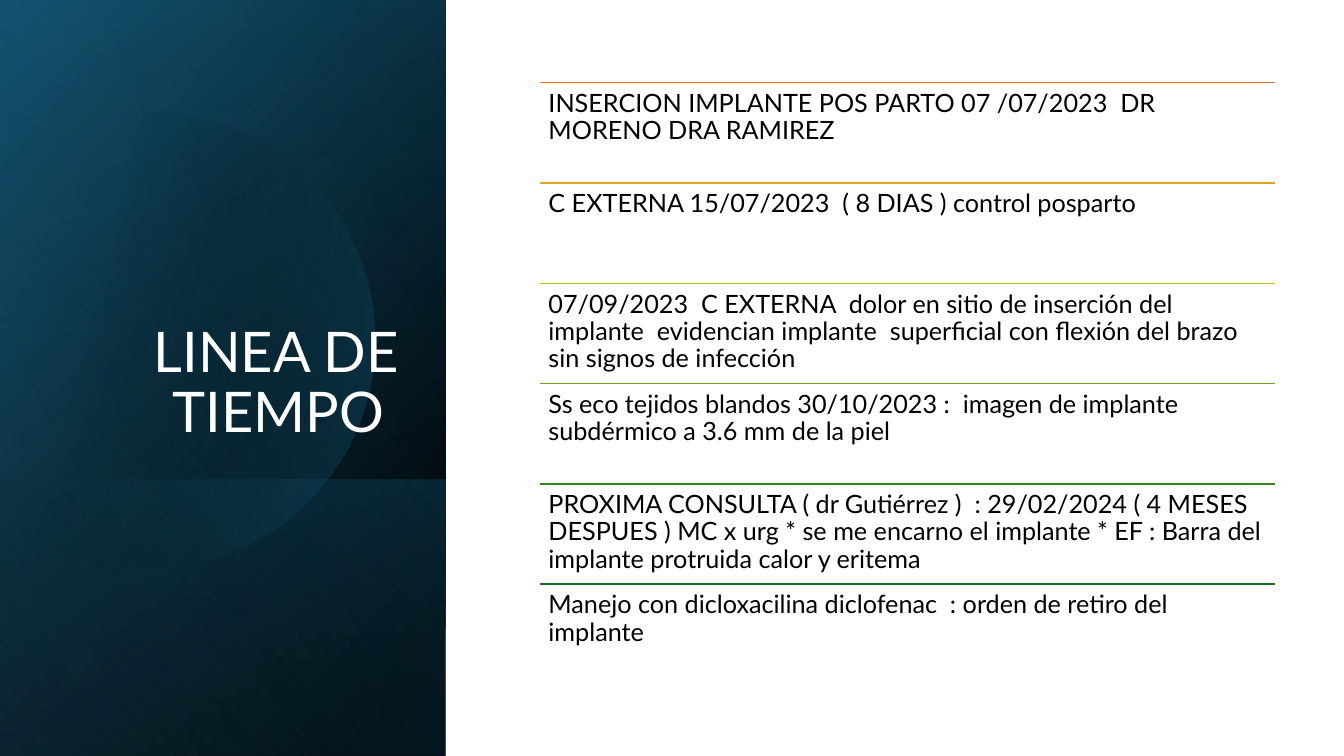
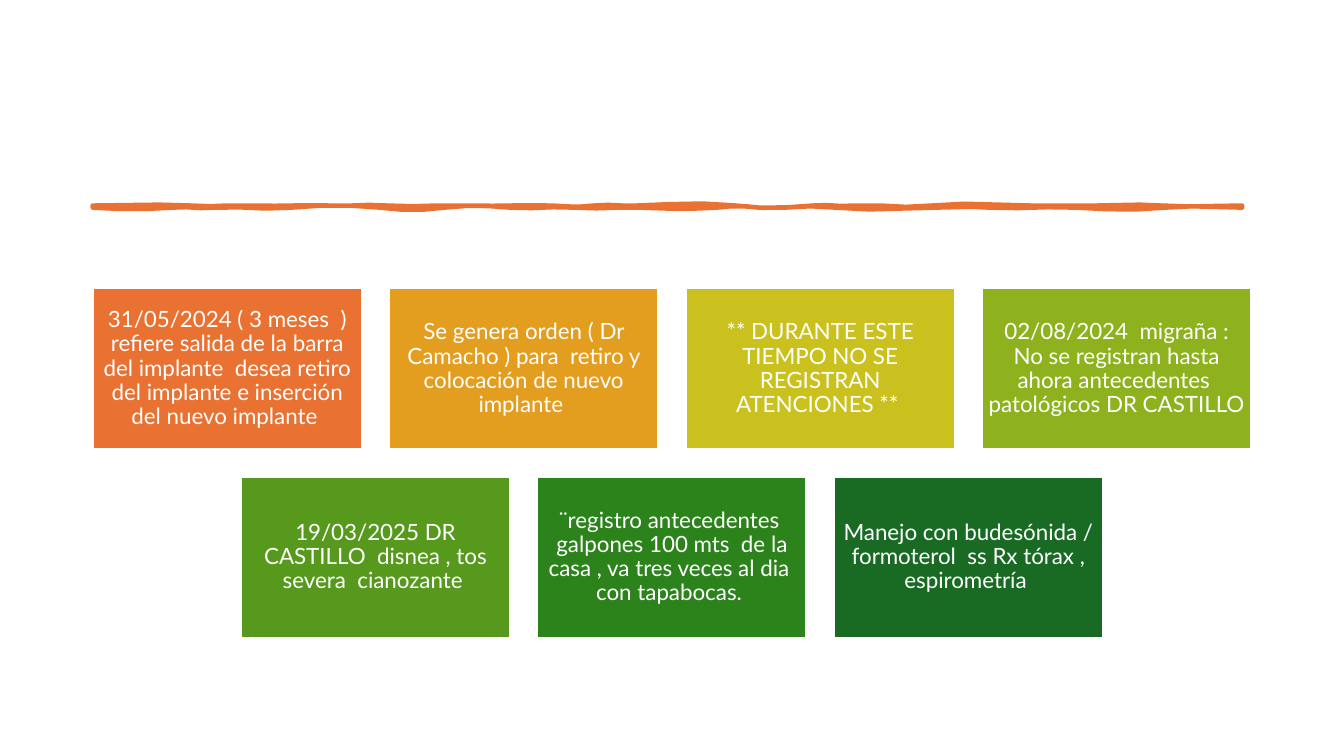
from math import acos, cos, sin

from lxml import etree
from pptx import Presentation
from pptx.dml.color import RGBColor
from pptx.enum.shapes import MSO_CONNECTOR as Connector, MSO_SHAPE as Shape
from pptx.enum.text import MSO_ANCHOR as Anchor, PP_ALIGN as Align
from pptx.oxml import parse_xml
from pptx.oxml.ns import nsdecls, qn
from pptx.util import Pt

PX = 9144  # EMU in one px, 100 px to the inch
SLIDE_W, SLIDE_H = 1333, 750
FONT = "Lato"
COLORS = {
    "black": "000000", "white": "FFFFFF", "orange": "E97132",
    "navy": "104862", "teal": "156082", "sky": "46B1E1",
}

# Slide 1: heading and dated entries, each with its rule colour
TITLE = "LINEA DE TIEMPO "
ENTRIES = [
    ("E97132", "INSERCION IMPLANTE POS PARTO 07 /07/2023  DR MORENO DRA RAMIREZ"),
    ("E0A61D", "C EXTERNA 15/07/2023  ( 8 DIAS ) control posparto"),
    ("B7C11E", "07/09/2023  C EXTERNA  dolor en sitio de inserción del implante  "
               "evidencian implante  superficial con flexión del brazo  sin signos de infección"),
    ("6BA31D", "Ss eco tejidos blandos 30/10/2023 :  imagen de implante subdérmico "
               "a 3.6 mm de la piel"),
    ("34861C", "PROXIMA CONSULTA ( dr Gutiérrez )  : 29/02/2024 ( 4 MESES DESPUES ) "
               "MC x urg * se me encarno el implante * EF : Barra del implante protruida "
               "calor y eritema"),
    ("196B24", "Manejo con dicloxacilina diclofenac  : orden de retiro del implante"),
]

# Side panel: gradients as (angle, [(position %, colour, opacity %), ...])
PANEL_W, BAND_H = 442, 274
BASE = (50, [(8, "black", 100), (100, "navy", 100)])
HAZE = (30, [(0, "black", 0), (99, "teal", 46)])
BAND = (130, [(2, "teal", 29), (100, "black", 30)])
DISC = (14, [(29, "black", 0), (100, "teal", 43)])
SHEEN = (120, [(0, "black", 0), (99, "sky", 11)])
DISC_X, DISC_Y, DISC_R = 145, 337, 227

# Slide 2: rows of cards
CARD_ROWS = [
    [("E97132", "31/05/2024 ( 3 meses  ) refiere salida de la barra del implante  "
                "desea retiro del implante e inserción del nuevo implante "),
     ("E39D1F", "Se genera orden ( Dr Camacho ) para  retiro y colocación de nuevo implante "),
     ("CBC11E", "** DURANTE ESTE TIEMPO NO SE REGISTRAN ATENCIONES ** "),
     ("8EB21E", "02/08/2024  migraña : No se registran hasta ahora antecedentes  "
                "patológicos DR CASTILLO ")],
    [("56991D", "19/03/2025 DR CASTILLO  disnea , tos severa  cianozante "),
     ("2C821B", "¨registro antecedentes  galpones 100 mts  de la casa , "
                "va tres veces al dia  con tapabocas. "),
     ("196B24", "Manejo con budesónida / formoterol  ss Rx tórax , espirometría ")],
]
CARD_W, CARD_H, CARD_GAP, CARDS_TOP = 267, 160, 27, 286

# Brush stroke edges: (end x, first bend, second bend) of each wave
STROKE_LEFT, STROKE_RIGHT, STROKE_TOP, STROKE_BOTTOM = 92, 1232, 204, 206
TOP_WAVES = [
    (190, 0, -2), (244, 2, -1), (331, 1, -1), (384, 1, -2), (460, 2, -1), (548, 1, -1),
    (589, 1, 2), (631, -2, 1), (730, -1, -4), (806, 4, 2), (848, -2, 2), (924, -2, 4),
    (1023, -4, 0), (1087, 0, 0), (1152, 0, -2), (STROKE_RIGHT, 2, 0),
]
BOTTOM_WAVES = [
    (1156, 0, -3), (1068, 3, 2), (981, -2, 2), (928, -2, 0), (829, 0, 4), (753, -4, 2),
    (711, -2, -2), (635, 2, 1), (570, -1, 2), (506, -2, 2), (441, -2, -3), (377, 3, 3),
    (289, -3, -3), (213, 3, -2), (171, 2, -2), (STROKE_LEFT, 2, 2),
]


def emu(*lengths):
    return [round(length * PX) for length in lengths]


def rgb(color):
    return RGBColor.from_string(COLORS.get(color, color))


def write(shape, text, size, color, align, anchor, inset_x, inset_y):
    frame = shape.text_frame
    frame.word_wrap = True
    frame.vertical_anchor = anchor
    frame.margin_left = frame.margin_right = inset_x * PX
    frame.margin_top = frame.margin_bottom = inset_y * PX
    paragraph = frame.paragraphs[0]
    paragraph.alignment, paragraph.line_spacing = align, 0.9
    run = paragraph.add_run()
    run.text = text
    run.font.name, run.font.size = FONT, Pt(size)
    run.font.color.rgb = rgb(color)


def text_box(slide, box, *style):
    write(slide.shapes.add_textbox(*emu(*box)), *style)


def outline(slide, points):
    corners = [emu(*point) for point in points]
    builder = slide.shapes.build_freeform(*corners[0])
    builder.add_line_segments(corners[1:], close=True)
    shape = builder.convert_to_shape()
    shape.shadow.inherit = False
    return shape


def fill_gradient(shape, gradient):
    angle, stops = gradient
    stop_xml = "".join(
        f'<a:gs pos="{pos * 1000}"><a:srgbClr val="{COLORS[color]}">'
        f'<a:alpha val="{opacity * 1000}"/></a:srgbClr></a:gs>'
        for pos, color, opacity in stops)
    shape.line.fill.background()
    shape.fill.background()
    properties = shape._element.spPr
    properties.replace(properties.find(qn("a:noFill")), parse_xml(
        f'<a:gradFill {nsdecls("a")} rotWithShape="1"><a:gsLst>{stop_xml}</a:gsLst>'
        f'<a:lin ang="{angle * 60000}" scaled="0"/></a:gradFill>'))


def panel_layer(slide, top, height, gradient):
    # Turned a quarter and mirrored, so width and height swap about the centre
    left = (PANEL_W - height) / 2
    turned_top = top + (height - PANEL_W) / 2
    layer = slide.shapes.add_shape(
        Shape.RECTANGLE, *emu(left, turned_top, height, PANEL_W))
    layer.shadow.inherit = False
    layer.rotation = 90
    layer._element.spPr.xfrm.set("flipH", "1")
    fill_gradient(layer, gradient)


def panel_disc(slide, steps=36):
    # Circle cut off at the slide's left edge
    reach = acos(-DISC_X / DISC_R)
    angles = [reach * (2 * i / steps - 1) for i in range(steps + 1)]
    disc = outline(slide, [(DISC_X + DISC_R * cos(a), DISC_Y + DISC_R * sin(a))
                           for a in angles])
    fill_gradient(disc, DISC)


def wavy_edge(start, y, waves, steps=3):
    points = [(start, y)]
    for end, bend1, bend2 in waves:
        for i in range(1, steps + 1):
            t = i / steps
            rise = 3 * t * (1 - t) * ((1 - t) * bend1 + t * bend2)
            points.append((start + (end - start) * t, y + rise))
        start = end
    return points


def brush_stroke(slide):
    stroke = outline(slide, wavy_edge(STROKE_LEFT, STROKE_TOP, TOP_WAVES)
                     + wavy_edge(STROKE_RIGHT, STROKE_BOTTOM, BOTTOM_WAVES))
    stroke.fill.solid()
    stroke.fill.fore_color.rgb = stroke.line.color.rgb = rgb("orange")
    stroke.line.width = Pt(3.25)
    edge = stroke.line._get_or_add_ln()
    edge.set("cap", "rnd")
    etree.SubElement(edge, qn("a:round"))


def rule(slide, left, y, width, color):
    line = slide.shapes.add_connector(
        Connector.STRAIGHT, *emu(left, y, left + width, y))
    line.line.color.rgb, line.line.width = rgb(color), Pt(1)
    etree.SubElement(line._element.spPr, qn("a:effectLst"))


def card(slide, left, top, color, text):
    box = slide.shapes.add_shape(Shape.RECTANGLE, *emu(left, top, CARD_W, CARD_H))
    box.shadow.inherit = False
    box.fill.solid()
    box.fill.fore_color.rgb = rgb(color)
    box.line.color.rgb, box.line.width = rgb("white"), Pt(1.5)
    write(box, text, 16, "white", Align.CENTER, Anchor.MIDDLE, 6, 6)


def timeline_slide(slide):
    # Side panel with heading
    panel_layer(slide, 0, SLIDE_H, BASE)
    panel_layer(slide, 0, SLIDE_H, HAZE)
    panel_layer(slide, SLIDE_H - BAND_H, BAND_H, BAND)
    panel_disc(slide)
    panel_layer(slide, 0, SLIDE_H, SHEEN)
    text_box(slide, (64, 184, 341, 262), TITLE, 40, "white",
             Align.RIGHT, Anchor.BOTTOM, 10, 5)

    # Ruled entries
    left, top, width, height = 536, 82, 729, 597
    pitch = height / len(ENTRIES)
    for i, (color, text) in enumerate(ENTRIES):
        y = top + i * pitch
        rule(slide, left, y, width, color)
        text_box(slide, (left, y, width, pitch), text, 18, "black",
                 Align.LEFT, Anchor.TOP, 8, 8)


def cards_slide(slide):
    brush_stroke(slide)
    # Each row is centred on the slide
    for row, cards in enumerate(CARD_ROWS):
        row_w = len(cards) * (CARD_W + CARD_GAP) - CARD_GAP
        for column, (color, text) in enumerate(cards):
            card(slide, (SLIDE_W - row_w) / 2 + column * (CARD_W + CARD_GAP),
                 CARDS_TOP + row * (CARD_H + CARD_GAP), color, text)


def main():
    deck = Presentation()
    deck.slide_width, deck.slide_height = emu(SLIDE_W, SLIDE_H)
    for build in (timeline_slide, cards_slide):
        build(deck.slides.add_slide(deck.slide_layouts[6]))
    deck.save("out.pptx")


if __name__ == "__main__":
    main()
